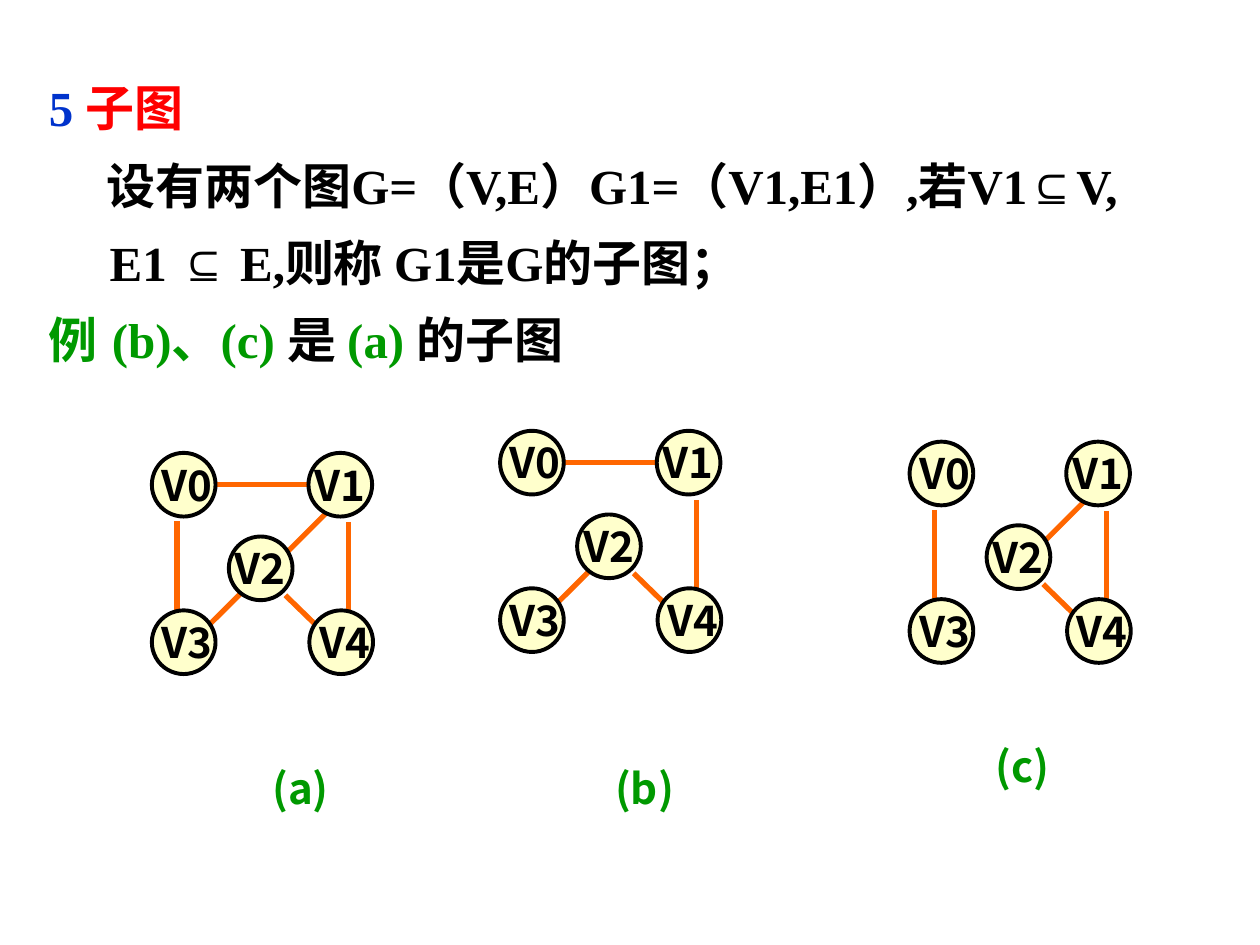
from lxml.etree import SubElement
from pptx import Presentation
from pptx.dml.color import RGBColor
from pptx.enum.shapes import MSO_CONNECTOR, MSO_SHAPE
from pptx.enum.text import PP_ALIGN
from pptx.oxml.ns import qn
from pptx.util import Pt

BLUE = RGBColor(0x00, 0x33, 0xCC)
RED = RGBColor(0xFF, 0x00, 0x00)
GREEN = RGBColor(0x00, 0x99, 0x00)
BLACK = RGBColor(0x00, 0x00, 0x00)
ORANGE = RGBColor(0xFF, 0x66, 0x00)
CREAM = RGBColor(0xFF, 0xFF, 0xCC)

SERIF, SANS, SYMBOL = "Times New Roman", "Noto Sans CJK SC", "Arial"

# (left margin, first-line indent, tab stop, runs)
DEFINITION = [
    (36, -36, None, [("5 ", BLUE), ("子图", RED)]),
    (36, -3, None, [("设有两个图G=（V,E）G1=（V1,E1）,若V1", BLACK), ("⊆", BLACK), ("V,", BLACK)]),
    (36, -1.3, None, [("E1 ", BLACK), ("⊆", BLACK), (" E,则称 G1是G的子图；", BLACK)]),
    (0, 0, 56.5, [("例\t(b)、(c) ", GREEN), ("是 ", BLACK), ("(a) ", GREEN), ("的子图", BLACK)]),
]

DIAMETER = 36.4
VERTICES = {
    "V0": (0, 0),
    "V4": (90, 90),
    "V3": (0, 90),
    "V1": (89.5, 0),
    "V2": (44, 47.8),
}
LABEL_SHIFT = {"V0": -3.8, "V4": -3.8, "V3": -3.8, "V1": -6, "V2": -6}
EDGES = {
    "V0-V1": (35.3, 18, 95, 18),
    "V0-V3": (14.4, 39, 14.4, 91),
    "V1-V4": (112.3, 39.6, 112.3, 91.5),
    "V1-V2": (99.4, 34.6, 77.8, 56.2),
    "V2-V3": (52.6, 78.5, 31, 100),
    "V2-V4": (76.3, 81.4, 95, 99.6),
}

# (caption, caption position, graph origin, edges)
GRAPHS = [
    ("(a)", (127.4, 432), (86.8, 258.8), list(EDGES)),
    ("(b)", (324, 432), (285.8, 246.2), ["V0-V1", "V1-V4", "V2-V3", "V2-V4"]),
    ("(c)", (540, 419.8), (519.8, 252.4), ["V0-V3", "V1-V4", "V1-V2", "V2-V4"]),
]


def set_east_asian_font(run):
    SubElement(run.font._element, qn("a:ea"), typeface=SANS)


def add_text(shapes, text, left, top, width, color, alignment, margin_left=7.2):
    box = shapes.add_textbox(Pt(left), Pt(top), Pt(width), Pt(36))
    frame = box.text_frame
    frame.word_wrap = True
    frame.margin_left = Pt(margin_left)
    paragraph = frame.paragraphs[0]
    paragraph.alignment = alignment
    run = paragraph.add_run()
    run.text = text
    font = paragraph.font
    font.name, font.size, font.bold = SANS, Pt(24), True
    font.color.rgb = color


def add_definition(shapes):
    box = shapes.add_textbox(Pt(20.9), Pt(41), Pt(666), Pt(206.6))
    frame = box.text_frame
    frame.word_wrap = True
    for index, (margin, indent, tab, runs) in enumerate(DEFINITION):
        paragraph = frame.add_paragraph() if index else frame.paragraphs[0]
        if index:
            paragraph.space_before = Pt(10.5)
        properties = paragraph._p.get_or_add_pPr()
        properties.set("marL", str(Pt(margin)))
        properties.set("indent", str(Pt(indent)))
        if tab:
            tabs = SubElement(properties, qn("a:tabLst"))
            SubElement(tabs, qn("a:tab"), pos=str(Pt(tab)), algn="l")
        paragraph.font.size = Pt(28)
        paragraph.font.bold = True
        for text, color in runs:
            run = paragraph.add_run()
            run.text = text
            run.font.color.rgb = color
            run.font.name = SYMBOL if text == "⊆" else SERIF
            if text != "⊆":
                set_east_asian_font(run)


def add_edge(shapes, origin, edge):
    left, top = origin
    x1, y1, x2, y2 = EDGES[edge]
    line = shapes.add_connector(
        MSO_CONNECTOR.STRAIGHT, Pt(left + x1), Pt(top + y1), Pt(left + x2), Pt(top + y2)
    )
    line.line.color.rgb = ORANGE
    line.line.width = Pt(3)
    SubElement(line._element.spPr, qn("a:effectLst"))


def add_vertex(shapes, origin, name):
    left, top = (start + offset for start, offset in zip(origin, VERTICES[name]))
    circle = shapes.add_shape(MSO_SHAPE.OVAL, Pt(left), Pt(top), Pt(DIAMETER), Pt(DIAMETER))
    circle.shadow.inherit = False
    circle.fill.solid()
    circle.fill.fore_color.rgb = CREAM
    circle.line.color.rgb = BLACK
    circle.line.width = Pt(2.25)
    add_text(shapes, name, left + LABEL_SHIFT[name], top, 51, BLACK, PP_ALIGN.LEFT, 9.4)


def main():
    presentation = Presentation()
    presentation.slide_width, presentation.slide_height = Pt(720), Pt(540)
    slide = presentation.slides.add_slide(presentation.slide_layouts[6])
    add_definition(slide.shapes)
    for caption, (left, top), origin, edges in GRAPHS:
        add_text(slide.shapes, caption, left, top, 88.6, GREEN, PP_ALIGN.CENTER)
        graph = slide.shapes.add_group_shape()
        for edge in edges:
            add_edge(graph.shapes, origin, edge)
        for name in VERTICES:
            add_vertex(graph.shapes, origin, name)
    presentation.save("out.pptx")


if __name__ == "__main__":
    main()
